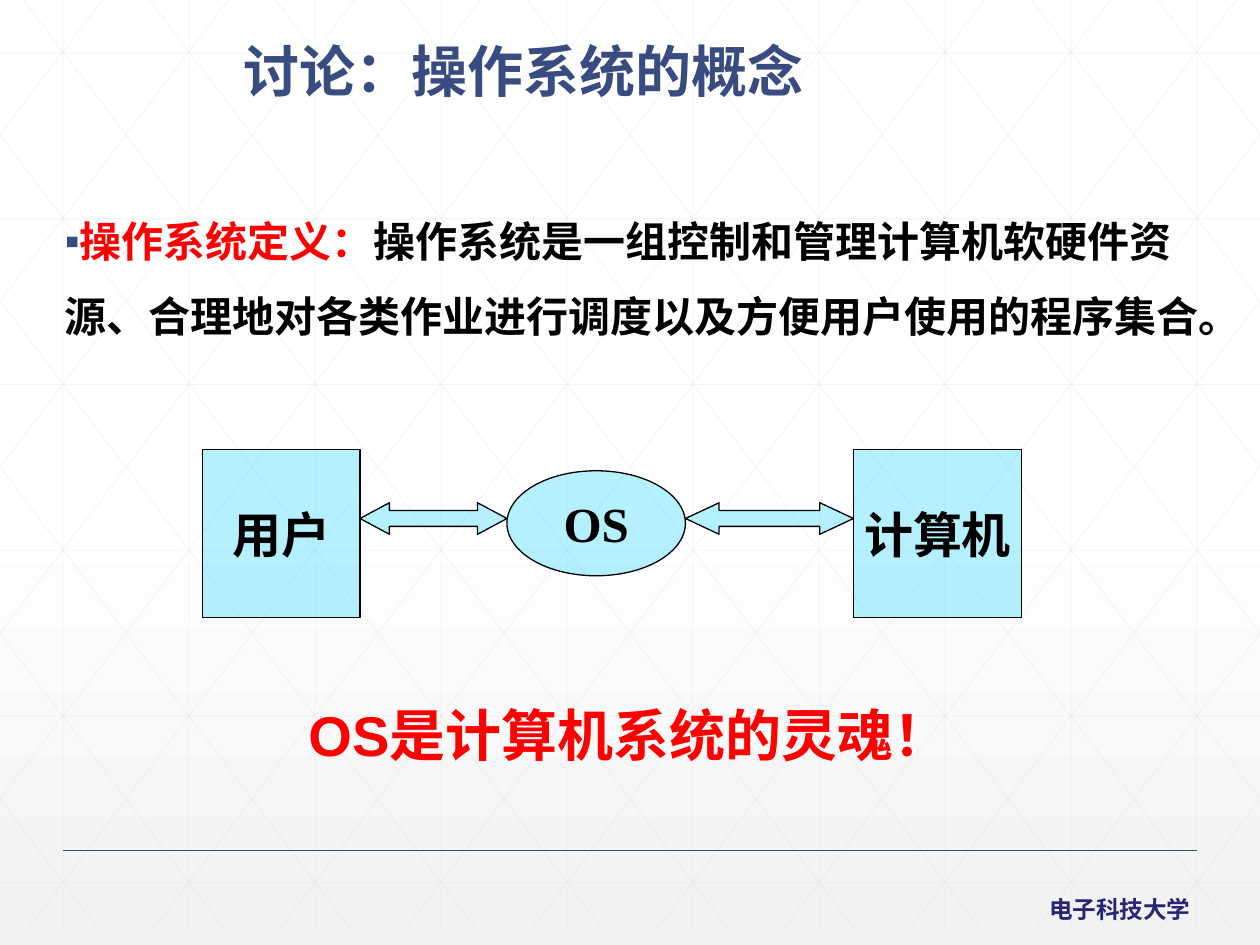
import copy
from dataclasses import dataclass

import lxml.etree
import pptx
import pptx.dml.color
import pptx.enum.shapes
import pptx.enum.text
import pptx.oxml.ns
import pptx.util

Pt = pptx.util.Pt
qn = pptx.oxml.ns.qn
MSO_SHAPE = pptx.enum.shapes.MSO_SHAPE


@dataclass(frozen=True)
class Theme:
    navy: str = "384C81"
    footer_blue: str = "262673"
    red: str = "FF0000"
    black: str = "000000"
    node_fill: str = "00CCFF"
    node_opacity: int = 29
    grid: str = "D9D9D9"
    grid_opacity: int = 25
    background: tuple = ((0, "FFFFFF"), (0.53, "FFFFFF"), (1, "F2F2F2"))
    chinese: str = "Noto Sans CJK SC"
    sans: str = "Arial"
    serif: str = "Times New Roman"
    heading_size: float = 32
    node_size: float = 28
    body_size: float = 24
    footer_size: float = 13.5


THEME = Theme()
WIDTH, HEIGHT = 720, 540


def rgb(value):
    return pptx.dml.color.RGBColor.from_string(value)


def set_opacity(shape, percent):
    color = next(shape._element.spPr.iter(qn("a:srgbClr")))
    lxml.etree.SubElement(color, qn("a:alpha"), val=str(percent * 1000))


def style_paragraph(para, size, color, latin):
    font = para.font
    font.size, font.bold, font.name = Pt(size), True, latin
    font.color.rgb = rgb(color)
    defaults = para._p.pPr.find(qn("a:defRPr"))
    lxml.etree.SubElement(defaults, qn("a:ea"), typeface=THEME.chinese)


def add_line(page, start, end, color, width):
    line = page.shapes.add_connector(
        pptx.enum.shapes.MSO_CONNECTOR.STRAIGHT, *map(Pt, start + end))
    line.line.color.rgb = rgb(color)
    line.line.width = Pt(width)
    lxml.etree.SubElement(line._element.spPr, qn("a:effectLst"))
    return line


def add_bullet(para, mark, color):
    props = para._p.get_or_add_pPr()
    for name, value in (("marL", "0"), ("indent", "0"), ("hangingPunct", "1")):
        props.set(name, value)
    bullet_color = lxml.etree.SubElement(props, qn("a:buClr"))
    lxml.etree.SubElement(bullet_color, qn("a:srgbClr"), val=color)
    lxml.etree.SubElement(props, qn("a:buFont"), typeface=THEME.sans)
    lxml.etree.SubElement(props, qn("a:buChar"), char=mark)


def add_text(page, bounds, spans, size, latin, spacing, wrap=True, bullet=None):
    """Add one paragraph made of (text, colour) spans."""
    box = page.shapes.add_textbox(*map(Pt, bounds))
    box.text_frame.word_wrap = wrap
    para = box.text_frame.paragraphs[0]
    para.line_spacing = Pt(spacing)
    if bullet:
        add_bullet(para, bullet, THEME.navy)
    style_paragraph(para, size, spans[0][1], latin)
    for text, color in spans:
        span = para.add_run()
        span.text = text
        if len(spans) > 1:
            span.font.color.rgb = rgb(color)


def add_node(page, kind, bounds, text=""):
    node = page.shapes.add_shape(kind, *map(Pt, bounds))
    node.shadow.inherit = False
    node.fill.solid()
    node.fill.fore_color.rgb = rgb(THEME.node_fill)
    set_opacity(node, THEME.node_opacity)
    node.line.color.rgb = rgb(THEME.black)
    node.line.width = Pt(0.75)
    if text:
        frame = node.text_frame
        frame.word_wrap = False
        frame.vertical_anchor = pptx.enum.text.MSO_ANCHOR.MIDDLE
        para = frame.paragraphs[0]
        para.text = text
        para.alignment = pptx.enum.text.PP_ALIGN.CENTER
        style_paragraph(para, THEME.node_size, THEME.black, THEME.serif)
    return node


def add_double_arrow(page, left, right):
    height, head = 18, 16.8
    arrow = add_node(page, MSO_SHAPE.LEFT_RIGHT_ARROW,
                     (left, 287.3, right - left, height))
    arrow.adjustments[0] = 0.5
    arrow.adjustments[1] = head * (right - left) / 84 / height


def paint_background(page):
    fill = page.background.fill
    fill.gradient()
    fill.gradient_angle = 270
    stops = next(page._element.iter(qn("a:gsLst")))
    stops.insert(1, copy.deepcopy(stops[0]))
    for stop, (position, color) in zip(fill.gradient_stops, THEME.background):
        stop.position = position
        stop.color.rgb = rgb(color)


def add_grid(page):
    bottom, run = 530.6, 402.6
    segments = [((36 + 72 * i, 0), (36 + 72 * i, bottom)) for i in range(10)]
    segments += [((0, 30.2 + 94.75 * i), (WIDTH, 30.2 + 94.75 * i))
                 for i in range(6)]
    # Diagonals clipped to the page, each with its mirror image
    for i in range(-5, 10):
        top_x = 13.5 + 72 * i
        left, right = max(0, top_x), min(WIDTH, top_x + run)
        start_y, end_y = ((x - top_x) * bottom / run for x in (left, right))
        segments.append(((left, start_y), (right, end_y)))
        segments.append(((WIDTH - left, start_y), (WIDTH - right, end_y)))
    for start, end in segments:
        line = add_line(page, start, end, THEME.grid, 0.5)
        set_opacity(line, THEME.grid_opacity)


def main():
    deck = pptx.Presentation()
    deck.slide_width, deck.slide_height = Pt(WIDTH), Pt(HEIGHT)
    page = deck.slides.add_slide(deck.slide_layouts[6])

    # Backdrop and footer
    paint_background(page)
    add_grid(page)
    add_line(page, (36, 486), (684, 486), THEME.navy, 1)
    add_text(page, (592.5, 507.6, 96.5, 23.8),
             [("电子科技大学", THEME.footer_blue)],
             THEME.footer_size, THEME.chinese, 16.7, wrap=False)

    # Title and definition
    add_text(page, (132, 18, 588, 78), [("讨论：操作系统的概念", THEME.navy)],
             THEME.heading_size, THEME.chinese, 37.5)
    add_text(page, (30, 105.4, 663.4, 160),
             [("操作系统定义：", THEME.red),
              ("操作系统是一组控制和管理计算机软硬件资源、合理地对各类作业"
               "进行调度以及方便用户使用的程序集合。", THEME.black)],
             THEME.body_size, THEME.chinese, 43, bullet="▪")

    # User, operating system and computer
    add_node(page, MSO_SHAPE.RECTANGLE, (115.7, 257, 90, 96), "用户")
    add_node(page, MSO_SHAPE.RECTANGLE, (487.7, 257, 96, 96), "计算机")
    add_node(page, MSO_SHAPE.OVAL, (289.7, 269, 102, 60), "OS")
    add_double_arrow(page, 205.7, 289.7)
    add_double_arrow(page, 391.7, 487.7)

    # Conclusion
    add_text(page, (169.2, 393.1, 384.5, 45.4),
             [("OS是计算机系统的灵魂！", THEME.red)],
             THEME.heading_size, THEME.sans, 41.8)

    deck.save("out.pptx")


if __name__ == "__main__":
    main()
